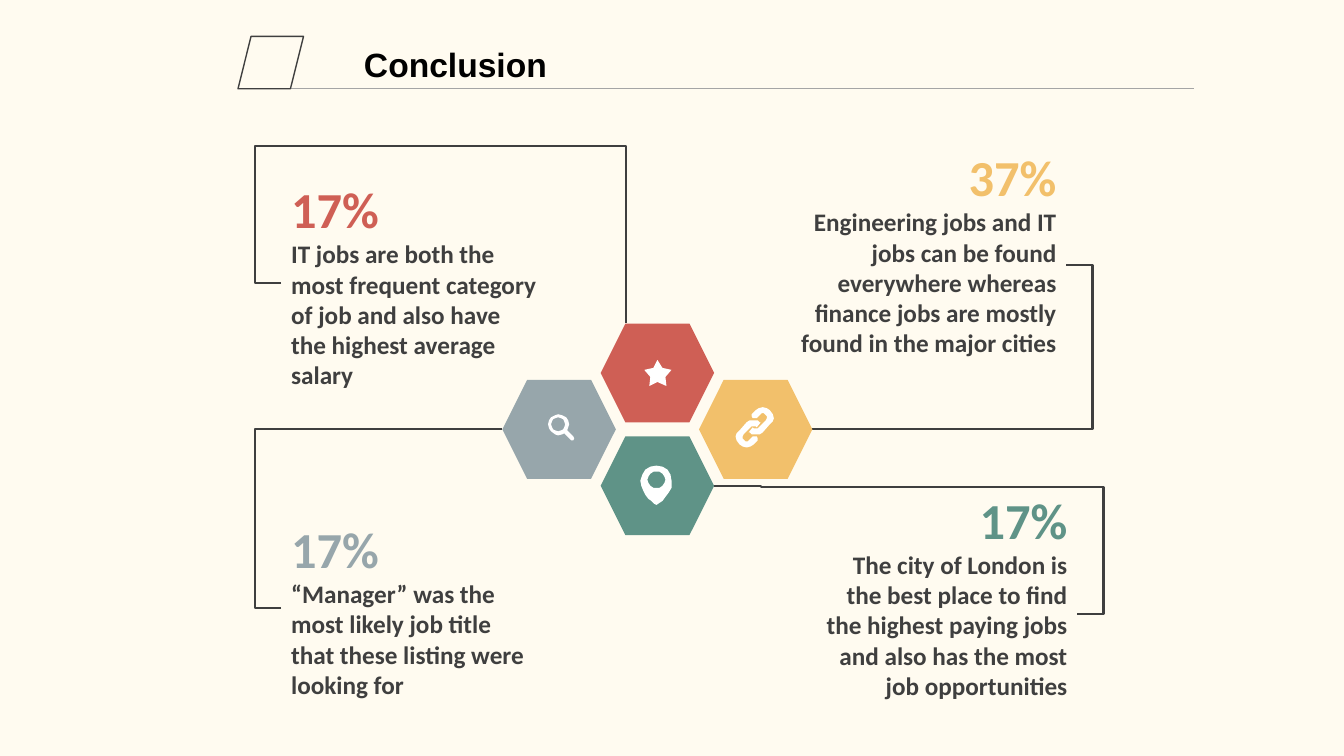
from math import cos, pi, sin

from lxml import etree
from pptx import Presentation
from pptx.dml.color import RGBColor
from pptx.enum.shapes import MSO_CONNECTOR, MSO_SHAPE
from pptx.enum.text import MSO_ANCHOR, MSO_AUTO_SIZE, PP_ALIGN
from pptx.oxml.ns import qn
from pptx.util import Pt

CREAM = RGBColor(0xFF, 0xFB, 0xF0)
RED = RGBColor(0xCF, 0x5F, 0x55)
GREEN = RGBColor(0x5F, 0x93, 0x87)
GREY = RGBColor(0x97, 0xA6, 0xAB)
YELLOW = RGBColor(0xF2, 0xC0, 0x6B)
DARK = RGBColor(0x3F, 0x3F, 0x3F)
RULE = RGBColor(0xA5, 0xA5, 0xA5)
WHITE = RGBColor(0xFF, 0xFF, 0xFF)
BLACK = RGBColor(0, 0, 0)
LEFT, RIGHT = PP_ALIGN.LEFT, PP_ALIGN.RIGHT
TOP, MIDDLE = MSO_ANCHOR.TOP, MSO_ANCHOR.MIDDLE
NO_AUTOFIT = MSO_AUTO_SIZE.NONE
HEXAGON, PARALLELOGRAM = MSO_SHAPE.HEXAGON, MSO_SHAPE.PARALLELOGRAM
STRAIGHT, ELBOW = MSO_CONNECTOR.STRAIGHT, MSO_CONNECTOR.ELBOW

CLUSTER = (469.6, 306.7)
STEP_X, STEP_Y = 70.2, 40.3
HEXAGON_WIDTH, HEXAGON_HEIGHT = 81, 70.6
ICON_UNIT = Pt(0.72)


def ring(center_x, center_y, radius, count=16):
    """Return the corners of a circle drawn as a polygon."""
    angles = [2 * pi * index / count for index in range(count)]
    return [(center_x + radius * cos(angle), center_y + radius * sin(angle))
            for angle in angles]


STAR = [(0, -13), (5, -5), (14, -3), (8, 4), (9, 13), (0, 9), (-8, 13),
        (-7, 4), (-13, -3), (-4, -5)]
LENS = [(-1, -15), (3, -14), (7, -12), (9, -9), (10, -5), (9, -2), (8, 1),
        (14, 7), (15, 9), (14, 11), (12, 11), (11, 10), (5, 4), (3, 5),
        (-1, 6), (-4, 5), (-8, 2), (-10, -1), (-11, -5), (-10, -9),
        (-8, -12), (-4, -14)]
PIN = [(-1, -20), (5, -19), (10, -16), (13, -11), (14, -5), (14, 2), (11, 7),
       (8, 11), (5, 15), (2, 17), (-1, 19), (-3, 18), (-6, 15), (-9, 13),
       (-12, 9), (-14, 5), (-16, 0), (-17, -5), (-15, -11), (-12, -16),
       (-7, -19)]
LINK = [(-1, -7), (3, -7), (5, -5), (6, -5), (2, 0), (1, -1), (-1, -1),
        (-3, -1), (-4, 0), (-11, 7), (-12, 9), (-12, 11), (-11, 12), (-9, 14),
        (-7, 14), (-5, 12), (-2, 9), (0, 9), (2, 9), (3, 11), (3, 13), (2, 14),
        (-1, 17), (-4, 19), (-8, 20), (-12, 19), (-15, 17), (-18, 13),
        (-19, 9), (-18, 6), (-15, 3), (-8, -5), (-5, -7)]
CHAIN = [[(side * x - 1, side * y - 2) for x, y in LINK] for side in (1, -1)]

# Each finding: hexagon step, colour, icon, text box, alignment, figure, text,
# connector end in hexagon halves, connector preset and its adjustments.
FINDINGS = [
    ((0, -1), RED, [STAR], (200.9, 123.8, 192.2, 157), LEFT, "17%",
     "IT jobs are both the most frequent category of job and also have "
     "the highest average salary",
     (-0.56, -1), "bentConnector4", (-7600, -340200)),
    ((0, 1), GREEN, [PIN, ring(-1, -6, 8.5)], (577.4, 345.6, 192.2, 185.8),
     RIGHT, "17%",
     "The city of London is the best place to find the highest paying jobs "
     "and also has the most job opportunities",
     (1, 0), "bentConnector5", (-7200, 99300, 87100)),
    ((-1, 0), GREY, [LENS, ring(-1, -5, 7)], (200.9, 366.5, 182.2, 135.4),
     LEFT, "17%",
     "“Manager” was the most likely job title that these listing were "
     "looking for",
     (-1, 0), "bentConnector3", (-11900,)),
    ((1, 0), YELLOW, CHAIN, (558.7, 100.8, 203, 176.4), RIGHT, "37%",
     "Engineering jobs and IT jobs can be found everywhere whereas finance "
     "jobs are mostly found in the major cities",
     (1, 0), "bentConnector3", (-10300,)),
]


def add_line(slide, kind, start, end, color, width):
    """Draw a flat connector between two points."""
    ends = [Pt(value) for value in (*start, *end)]
    connector = slide.shapes.add_connector(kind, *ends)
    connector.line.color.rgb = color
    connector.line.width = Pt(width)
    etree.SubElement(connector.element.spPr, qn("a:effectLst"))
    return connector


def add_elbow(slide, start, end, preset, adjustments):
    """Draw a bent connector with its bends set."""
    connector = add_line(slide, ELBOW, start, end, DARK, 1.5)
    geometry = connector.element.spPr.find(qn("a:prstGeom"))
    geometry.set("prst", preset)
    guides = geometry.find(qn("a:avLst"))
    for number, value in enumerate(adjustments, 1):
        etree.SubElement(guides, qn("a:gd"), name=f"adj{number}",
                         fmla=f"val {value}")


def add_run(paragraph, text, name, size, color):
    """Add one bold run of text."""
    run = paragraph.add_run()
    run.text = text
    run.font.name = name
    run.font.size = Pt(size)
    run.font.bold = True
    run.font.color.rgb = color


def add_header(slide, left, top, width, height):
    """Place the title with its parallelogram and rule."""
    bottom = top + height
    add_line(slide, STRAIGHT, (left + 34.6, bottom), (left + width, bottom),
             RULE, 0.75)
    marker = slide.shapes.add_shape(PARALLELOGRAM, Pt(left), Pt(top),
                                    Pt(46.8), Pt(height))
    marker.shadow.inherit = False
    marker.fill.background()
    marker.line.color.rgb = DARK
    marker.line.width = Pt(1)
    title = slide.shapes.title
    title.left, title.top = Pt(left + 82.8), Pt(top + 1.4)
    title.width, title.height = Pt(369.4), Pt(36)
    frame = title.text_frame
    frame.auto_size = NO_AUTOFIT
    frame.vertical_anchor = MIDDLE
    frame.paragraphs[0].alignment = LEFT
    add_run(frame.paragraphs[0], "Conclusion", "Arial", 24, BLACK)


def add_badge(slide, center_x, center_y, color, contours):
    """Place a hexagon with a white icon around a centre."""
    badge = slide.shapes.add_shape(
        HEXAGON, Pt(center_x - HEXAGON_WIDTH / 2),
        Pt(center_y - HEXAGON_HEIGHT / 2), Pt(HEXAGON_WIDTH),
        Pt(HEXAGON_HEIGHT))
    badge.adjustments[0] = 0.25
    builder = slide.shapes.build_freeform(*contours[0][0], scale=ICON_UNIT)
    builder.add_line_segments(contours[0][1:], close=True)
    for contour in contours[1:]:
        builder.move_to(*contour[0])
        builder.add_line_segments(contour[1:], close=True)
    icon = builder.convert_to_shape(Pt(center_x), Pt(center_y))
    for shape, fill in ((badge, color), (icon, WHITE)):
        shape.shadow.inherit = False
        shape.fill.solid()
        shape.fill.fore_color.rgb = fill
        shape.line.fill.background()


def add_callout(slide, box, alignment, color, figure, text):
    """Place a coloured figure above its explanation."""
    callout = slide.shapes.add_textbox(*[Pt(value) for value in box])
    frame = callout.text_frame
    frame.word_wrap = True
    frame.vertical_anchor = TOP
    frame.paragraphs[0].alignment = alignment
    add_run(frame.paragraphs[0], figure, "Calibri", 36, color)
    paragraph = frame.add_paragraph()
    paragraph.alignment = alignment
    add_run(paragraph, text, "Calibri", 18, DARK)


def add_finding(slide, finding):
    """Place a hexagon, its callout and the connector joining them."""
    (step, color, icon, box, alignment, figure, text, corner, preset,
     adjustments) = finding
    center_x = CLUSTER[0] + step[0] * STEP_X
    center_y = CLUSTER[1] + step[1] * STEP_Y
    left, top, width, height = box
    start = (left if alignment == LEFT else left + width, top + height / 2)
    end = (center_x + corner[0] * HEXAGON_WIDTH / 2,
           center_y + corner[1] * HEXAGON_HEIGHT / 2)
    add_elbow(slide, start, end, preset, adjustments)
    add_badge(slide, center_x, center_y, color, icon)
    add_callout(slide, box, alignment, color, figure, text)


def main():
    """Build the conclusion slide and save it."""
    presentation = Presentation()
    presentation.slide_width, presentation.slide_height = Pt(960), Pt(540)
    slide = presentation.slides.add_slide(presentation.slide_layouts[5])
    slide.background.fill.solid()
    slide.background.fill.fore_color.rgb = CREAM
    add_header(slide, 170, 26, 683.2, 37.4)
    for finding in FINDINGS:
        add_finding(slide, finding)
    presentation.save("out.pptx")


if __name__ == "__main__":
    main()
